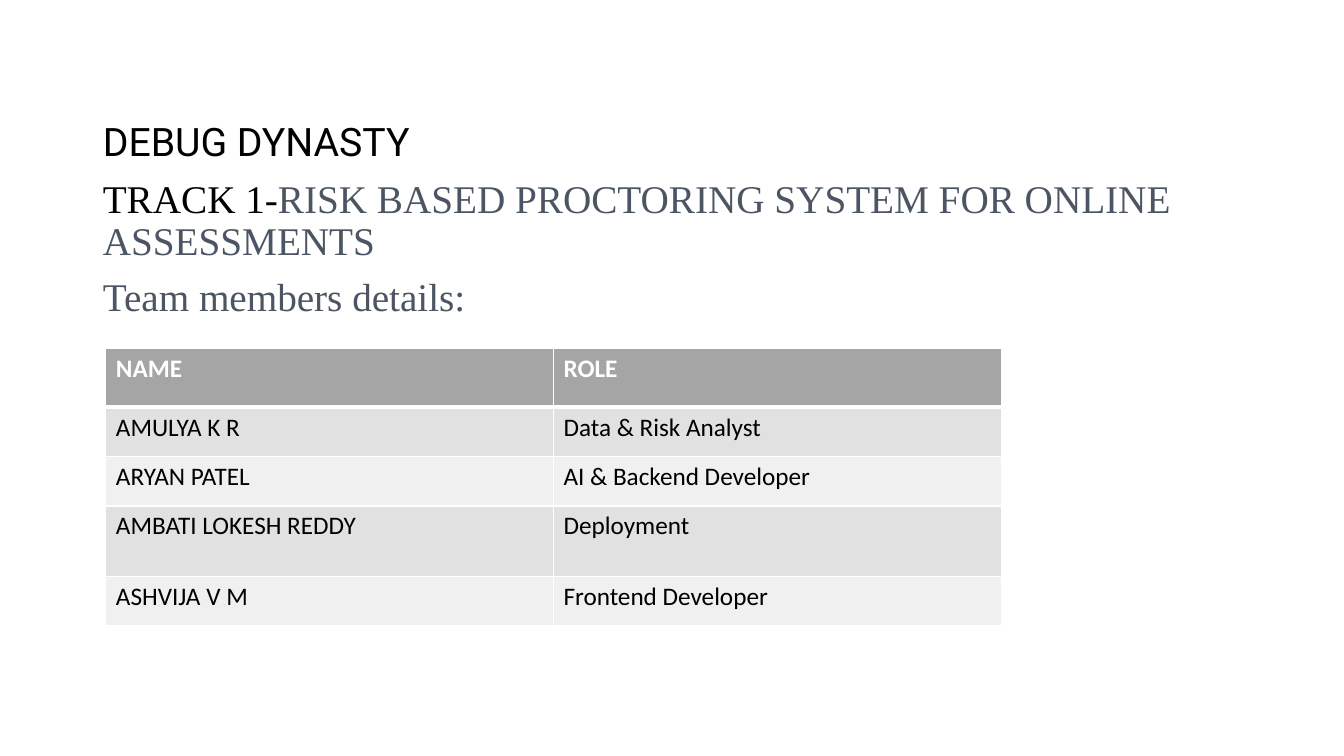
from dataclasses import dataclass

from lxml import etree
from pptx import Presentation
from pptx import util as u
from pptx.dml.color import RGBColor
from pptx.enum import text
from pptx.oxml.ns import qn

COLORS = {
    "black": "000000",
    "slate": "4B5563",
    "white": "FFFFFF",
    "header": "A5A5A5",
    "odd row": "E1E1E1",
    "even row": "F0F0F0",
}


@dataclass
class Run:
    text: str
    color: str
    font: str = "Times New Roman"


@dataclass
class Row:
    name: str
    role: str
    height: float


INTRO = [
    [Run("DEBUG DYNASTY", "black", "Roboto")],
    [
        Run("TRACK 1-", "black"),
        Run("RISK BASED PROCTORING SYSTEM FOR ONLINE ASSESSMENTS", "slate"),
    ],
    [Run("Team members details:", "slate")],
]

TEAM = [
    Row("NAME", "ROLE", 0.58),
    Row("AMULYA K R", "Data & Risk Analyst", 0.49),
    Row("ARYAN PATEL", "AI & Backend Developer", 0.49),
    Row("AMBATI LOKESH REDDY", "Deployment", 0.7),
    Row("ASHVIJA V M", "Frontend Developer", 0.49),
]


def rgb(color: str) -> RGBColor:
    return RGBColor.from_string(COLORS[color])


def remove_bullet(paragraph) -> None:
    properties = paragraph._p.get_or_add_pPr()
    properties.set("marL", "0")
    properties.set("indent", "0")
    etree.SubElement(properties, qn("a:buNone"))


def write_intro(body) -> None:
    body.left, body.top = u.Inches(0.92), u.Inches(1.17)
    body.width, body.height = u.Inches(11.5), u.Inches(5.58)
    frame = body.text_frame
    frame.auto_size = text.MSO_AUTO_SIZE.NONE
    frame.vertical_anchor = text.MSO_ANCHOR.TOP
    for index, runs in enumerate(INTRO):
        paragraph = frame.add_paragraph() if index else frame.paragraphs[0]
        paragraph.line_spacing = 0.9
        paragraph.space_before = u.Pt(10)
        paragraph.font.size = u.Pt(28)
        remove_bullet(paragraph)
        for part in runs:
            run = paragraph.add_run()
            run.text = part.text
            run.font.name = part.font
            run.font.color.rgb = rgb(part.color)


def set_borders(cell, bottom: float, top: float) -> None:
    """Draw white cell borders; widths are in points."""
    properties = cell._tc.get_or_add_tcPr()
    widths = {"lnL": 1, "lnR": 1, "lnT": top, "lnB": bottom}
    for position, (side, width) in enumerate(widths.items()):
        line = etree.Element(qn(f"a:{side}"), w=str(u.Pt(width)))
        fill = etree.SubElement(line, qn("a:solidFill"))
        etree.SubElement(fill, qn("a:srgbClr"), val=COLORS["white"])
        properties.insert(position, line)


def format_cell(cell, content: str, row_index: int) -> None:
    is_header = row_index == 0
    cell.text = content
    font = cell.text_frame.paragraphs[0].font
    font.name, font.size, font.bold = "Calibri", u.Pt(18), is_header
    font.color.rgb = rgb("white" if is_header else "black")
    banding = "odd row" if row_index % 2 else "even row"
    cell.fill.solid()
    cell.fill.fore_color.rgb = rgb("header" if is_header else banding)
    set_borders(cell, bottom=3 if is_header else 1, top=3 if row_index == 1 else 1)


def add_team_table(slide) -> None:
    total_height = sum(row.height for row in TEAM)
    table = slide.shapes.add_table(
        len(TEAM), 2, u.Inches(1.05), u.Inches(3.46), u.Inches(8.88), u.Inches(total_height)
    ).table
    for index, row in enumerate(TEAM):
        table.rows[index].height = u.Inches(row.height)
        for column, content in enumerate((row.name, row.role)):
            format_cell(table.cell(index, column), content, index)


def main() -> None:
    presentation = Presentation()
    presentation.slide_width = u.Inches(13.33)
    presentation.slide_height = u.Inches(7.5)
    slide = presentation.slides.add_slide(presentation.slide_layouts.get_by_name("Title and Content"))
    title = slide.shapes.title.element
    title.getparent().remove(title)
    write_intro(slide.placeholders[1])
    add_team_table(slide)
    presentation.save("out.pptx")


if __name__ == "__main__":
    main()
